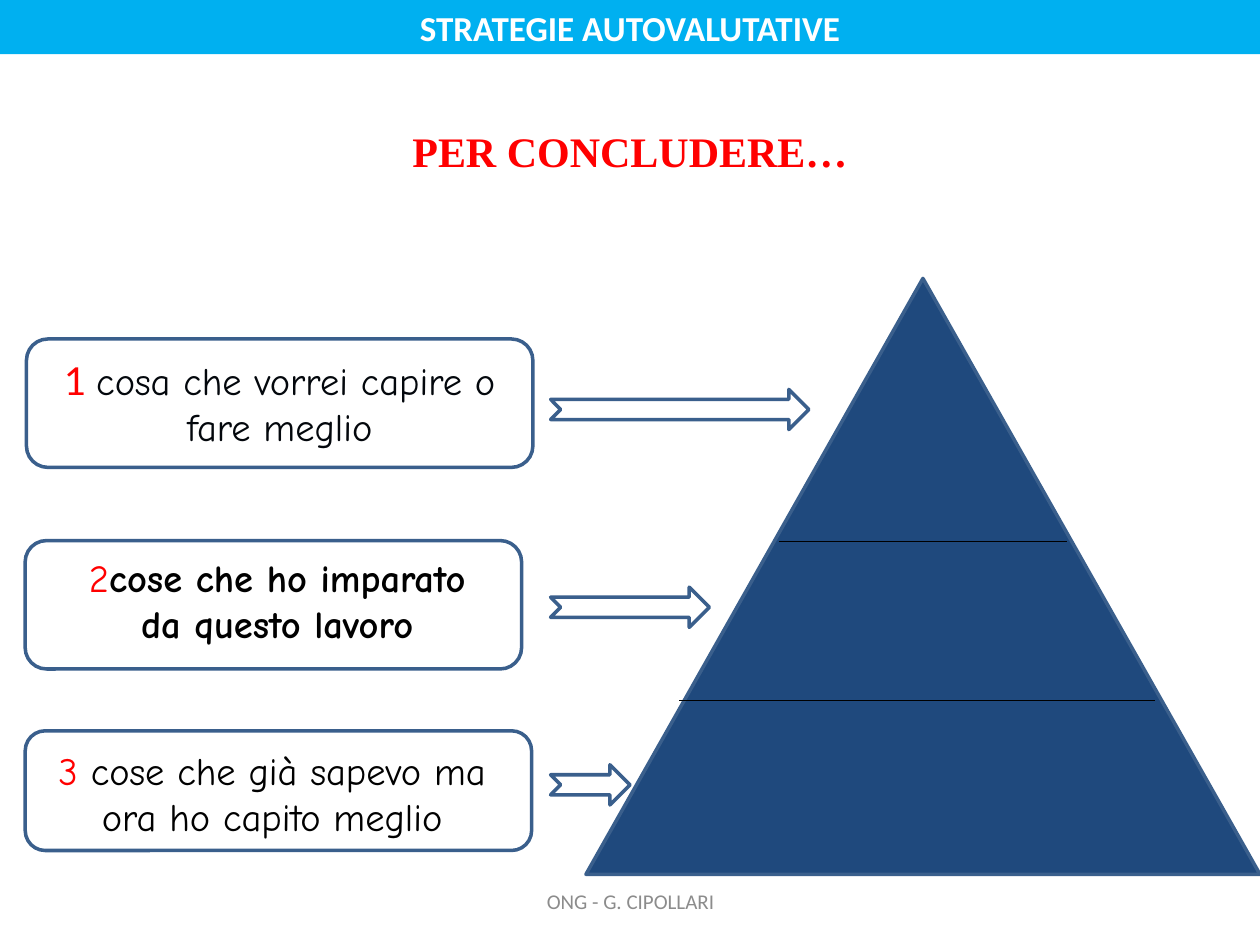
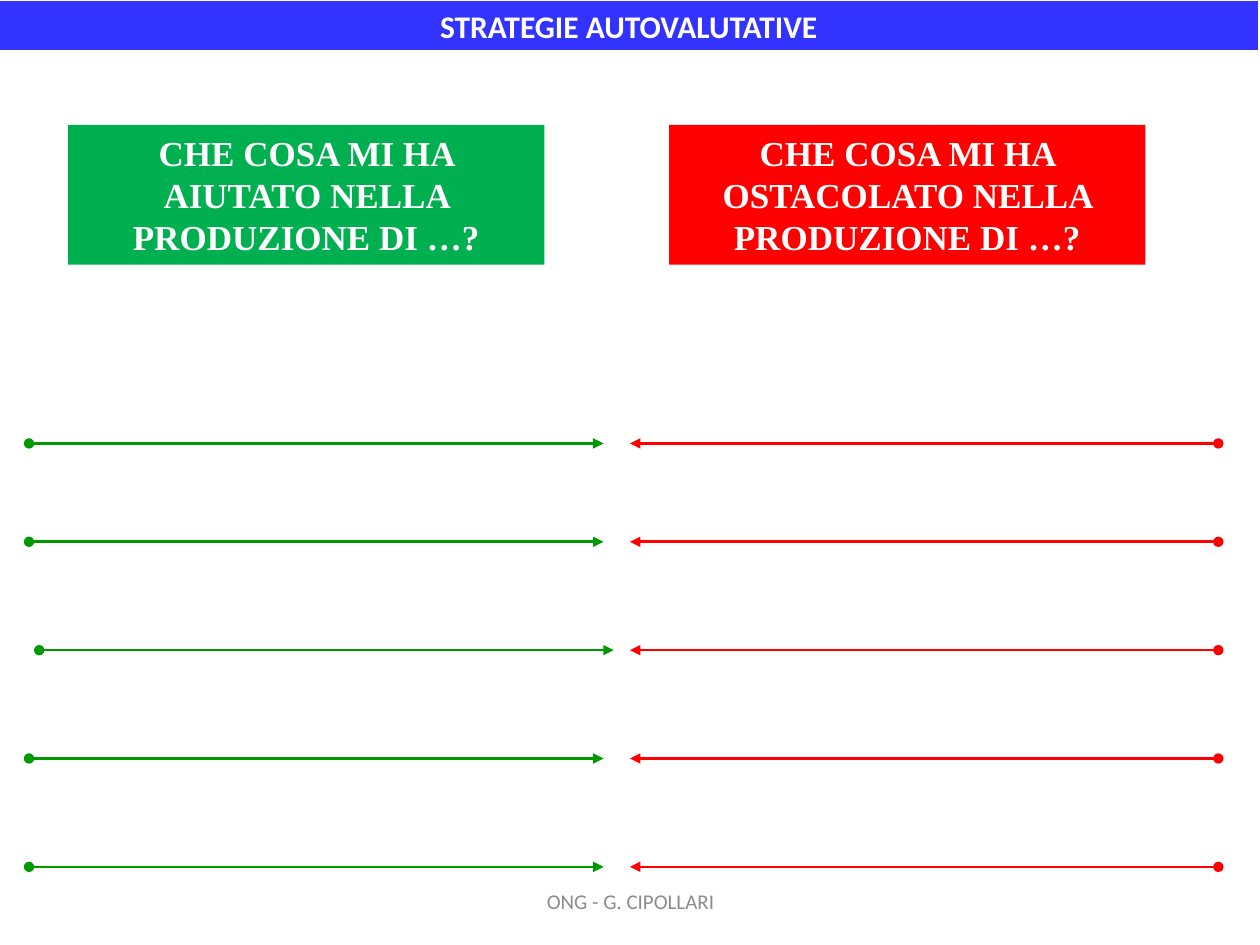
"""Builds two slides on self-assessment strategies."""
from dataclasses import dataclass

from pptx import Presentation
from pptx.dml.color import RGBColor
from pptx.enum import shapes, text
from pptx.oxml.ns import qn
from pptx.util import Pt


@dataclass(frozen=True)
class Theme:
    """Colours, typefaces and type sizes shared by the slides."""
    white: str = "FFFFFF"
    black: str = "000000"
    ink: str = "03070C"
    grey: str = "8C8C8C"
    red: str = "FF0000"
    sky: str = "00B0F0"
    violet: str = "3333FF"
    navy: str = "1F497D"
    outline: str = "3A5F8C"
    help_fill: str = "00B050"
    help_line: str = "009900"
    sans: str = "Calibri"
    serif: str = "Times New Roman"
    hand: str = "Comic Neue"
    numeral: str = "Lato"
    heading: int = 24
    statement: int = 22
    question: int = 20
    footer: int = 12


THEME = Theme()
SHAPE = shapes.MSO_SHAPE
ANCHOR = text.MSO_ANCHOR
BAND_TEXT = "STRATEGIE AUTOVALUTATIVE"
FOOTER_TEXT = "ONG - G. CIPOLLARI"


def style(target, formats):
    """Set each attribute named in a dict of format values."""
    for name, value in formats.items():
        setattr(target, name, value)


def points(*lengths):
    """Turn numbers into lengths in points."""
    return [Pt(length) for length in lengths]


def run_format(font, size, colour, bold=False):
    """Gather the format values of one run."""
    return {"name": font, "size": Pt(size), "bold": bold, "colour": colour}


def write(holder, runs, anchor=ANCHOR.TOP):
    """Write centred, wrapped runs of (words, format) into a shape."""
    frame = holder.text_frame
    style(frame, {"word_wrap": True, "auto_size": text.MSO_AUTO_SIZE.NONE,
                  "vertical_anchor": anchor})
    paragraph = frame.paragraphs[0]
    paragraph.alignment = text.PP_ALIGN.CENTER
    for words, formats in runs:
        run = paragraph.add_run()
        run.text = words
        style(run.font, {k: v for k, v in formats.items() if k != "colour"})
        run.font.color.rgb = RGBColor.from_string(formats["colour"])


def paint(body, fill=None, line=None, width=2):
    """Fill and outline a shape; None leaves that part empty."""
    if fill:
        body.fill.solid()
        body.fill.fore_color.rgb = RGBColor.from_string(fill)
    else:
        body.fill.background()
    if line:
        body.line.color.rgb = RGBColor.from_string(line)
        body.line.width = Pt(width)
    else:
        body.line.fill.background()


def add_body(slide, kind, box, **colours):
    """Add a painted preset shape without shadow."""
    body = slide.shapes.add_shape(kind, *points(*box))
    body.shadow.inherit = False
    paint(body, **colours)
    return body


def add_label(slide, box, runs, anchor=ANCHOR.TOP):
    """Add a text box with centred runs."""
    write(slide.shapes.add_textbox(*points(*box)), runs, anchor)


def add_rule(slide, left, right, y, colour, width, head=None, tail=None):
    """Add a level line with optional line ends."""
    rule = slide.shapes.add_connector(
        shapes.MSO_CONNECTOR.STRAIGHT, *points(left, y, right, y))
    rule.line.color.rgb = RGBColor.from_string(colour)
    rule.line.width = Pt(width)
    outline = rule.line._get_or_add_ln()
    for tag, end in (("a:headEnd", head), ("a:tailEnd", tail)):
        if end:
            outline.makeelement(qn(tag), {})
            mark = outline.makeelement(qn(tag), {"type": end})
            outline.append(mark)
    properties = rule._element.spPr
    properties.append(properties.makeelement(qn("a:effectLst"), {}))


def start_slide(deck, box, fill, size, line=None):
    """Add a slide with its title band and footer."""
    slide = deck.slides.add_slide(deck.slide_layouts[5])
    band = slide.shapes.title
    style(band, dict(zip(("left", "top", "width", "height"), points(*box))))
    paint(band, fill, line, 0.75)
    write(band, [(BAND_TEXT, run_format(THEME.sans, size, THEME.white, True))],
          ANCHOR.MIDDLE)
    add_label(slide, (246.24, 500.4, 228.24, 28.8),
              [(FOOTER_TEXT, run_format(THEME.sans, THEME.footer, THEME.grey))],
              ANCHOR.MIDDLE)
    return slide


def add_pyramid(slide, box):
    """Draw the three-level pyramid with its dividers."""
    left, top = box[:2]
    add_body(slide, SHAPE.ISOSCELES_TRIANGLE, box,
             fill=THEME.navy, line=THEME.outline)
    for inset, drop, length in ((110.2, 150.5, 164.9), (53.3, 241.2, 272.2)):
        add_rule(slide, left + inset, left + inset + length, top + drop,
                 THEME.black, 0.75)


def add_statement(slide, frame_box, words_box, runs, arrow_drop, arrow_width):
    """Add a framed statement and the arrow to its pyramid level."""
    add_body(slide, SHAPE.FLOWCHART_ALTERNATE_PROCESS, frame_box,
             line=THEME.outline)
    add_label(slide, words_box, runs)
    add_body(slide, SHAPE.NOTCHED_RIGHT_ARROW,
             (314.64, frame_box[1] + arrow_drop, arrow_width, 23),
             line=THEME.outline)


def add_conclusion(deck):
    """Build the closing slide with the 3-2-1 pyramid."""
    slide = start_slide(deck, (0, 0, 720, 31), THEME.sky, 20)
    add_label(slide, (0, 68.4, 720, 36),
              [("PER CONCLUDERE…",
                run_format(THEME.serif, THEME.heading, THEME.red, True))])
    add_pyramid(slide, (334.8, 159.12, 385.2, 340.56))

    def hand(colour, bold=False):
        """Give the handwritten statement format."""
        return run_format(THEME.hand, THEME.statement, colour, bold)

    one = run_format(THEME.numeral, THEME.statement, THEME.red)
    statements = (
        ((15.1, 193.7, 289.4, 73.4), (15.1, 200.2, 289.4, 60.5),
         [("1 ", one), ("cosa che vorrei capire o fare meglio", hand(THEME.ink))],
         28.8, 147.6),
        ((14.4, 308.9, 283.7, 73.4), (31, 313.2, 254.9, 60.5),
         [("2", hand(THEME.red)),
          ("cose che ho imparato da questo lavoro", hand(THEME.black, True))],
         26.6, 90.7),
        ((14.4, 417.6, 289.4, 68.4), (25.2, 423.4, 260.6, 60.5),
         [("3 ", hand(THEME.red)),
          ("cose che già sapevo ma ora ho capito meglio", hand(THEME.black))],
         19.4, 45.4),
    )
    for statement in statements:
        add_statement(slide, *statement)


def add_answers(slide, box, question, fill, line, span, ends, shifts):
    """Add a question panel and the answer lines below it."""
    panel = add_body(slide, SHAPE.RECTANGLE, box, fill=fill)
    write(panel, [(question, run_format(THEME.serif, THEME.question,
                                        THEME.white, True))], ANCHOR.MIDDLE)
    left, right = span
    rows = [253.4] + [309.6 + 61.92 * step for step in range(4)]
    for row, y in enumerate(rows):
        shift = shifts.get(row, 0)
        add_rule(slide, left + shift, right + shift, y, line, 1.5, *ends)


def add_help_and_hindrance(deck):
    """Build the slide that compares helps and obstacles."""
    slide = start_slide(deck, (-0.7, 0.4, 720, 28.4), THEME.violet, 18, THEME.white)
    panel_size = (272.2, 79.9)
    add_answers(slide, (38.9, 71.3, *panel_size),
                "CHE COSA MI HA AIUTATO NELLA PRODUZIONE DI …?",
                THEME.help_fill, THEME.help_line, (16.6, 344.9),
                ("oval", "triangle"), {2: 5.8})
    add_answers(slide, (382.3, 71.3, *panel_size),
                "CHE COSA MI HA OSTACOLATO NELLA PRODUZIONE DI …?",
                THEME.red, THEME.red, (360, 696.2), ("triangle", "oval"), {})


def main():
    """Build and save the deck."""
    deck = Presentation()
    style(deck, {"slide_width": Pt(720), "slide_height": Pt(540)})
    add_conclusion(deck)
    add_help_and_hindrance(deck)
    deck.save("out.pptx")


if __name__ == "__main__":
    main()
